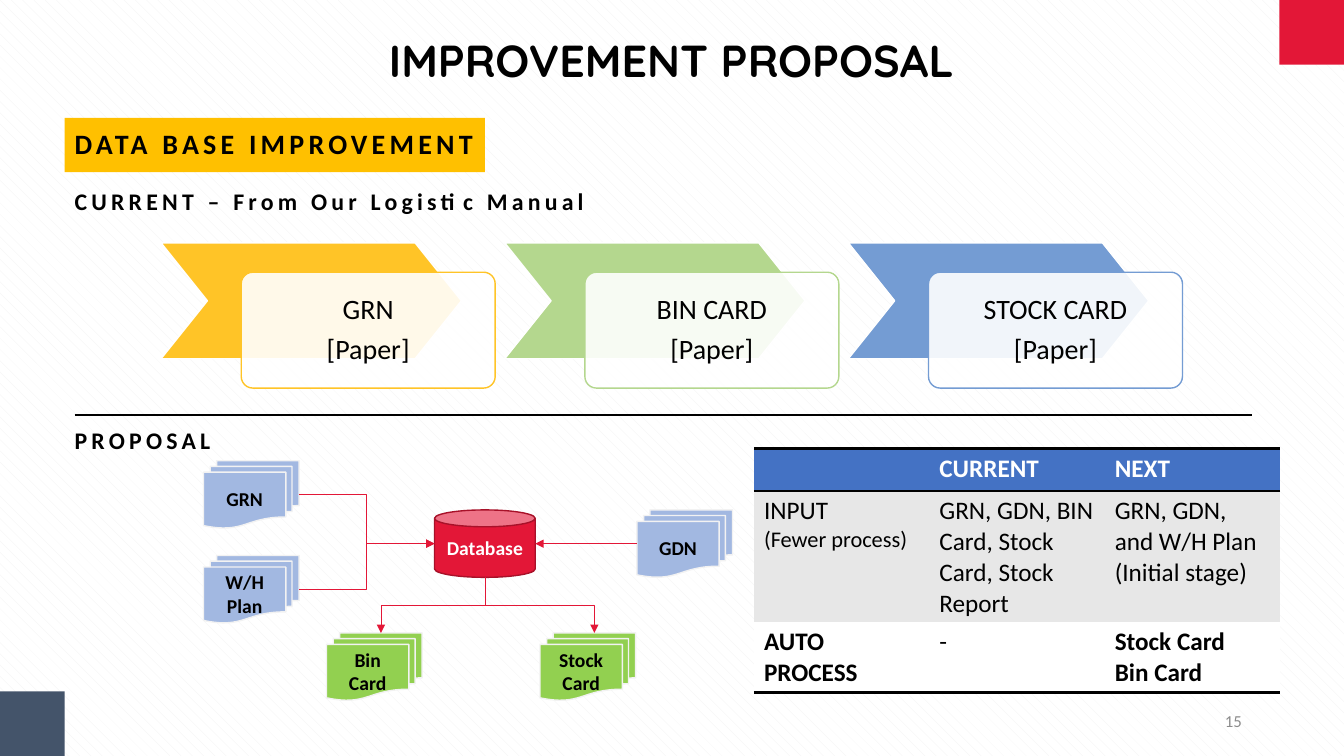
from lxml.etree import SubElement
from pptx import Presentation
from pptx.dml.color import RGBColor
from pptx.enum.dml import MSO_PATTERN
from pptx.enum.shapes import MSO_CONNECTOR, MSO_SHAPE
from pptx.enum.text import MSO_ANCHOR, PP_ALIGN
from pptx.oxml.ns import qn
from pptx.util import Cm, Pt

BLACK, WHITE, RED = "000000", "FFFFFF", "E31737"
BLUE_DOC, GREEN_DOC = "A2B8E1", "92D050"
DOC_WIDTH, DOC_HEIGHT, DOC_TOP_JOINT = 2.41, 1.7, 1.37
PLAIN_TABLE_STYLE = "{2D5ABB26-0587-4C30-8999-92F81FD0307C}"


def color(hex_code):
    """Turn a hex string into a colour."""
    return RGBColor.from_string(hex_code)


def write(frame, *lines, size=18, last_size=None, ink=BLACK, bold=False, font="Calibri",
          align=PP_ALIGN.LEFT, anchor=MSO_ANCHOR.MIDDLE, leading=None, after=None,
          spacing=None, inset=None):
    """Fill a text frame with one paragraph per line."""
    frame.word_wrap = True
    frame.vertical_anchor = anchor
    if inset is not None:
        frame.margin_left = frame.margin_right = Cm(inset)
        frame.margin_top = frame.margin_bottom = Cm(inset)
    for index, line in enumerate(lines):
        paragraph = frame.add_paragraph() if index else frame.paragraphs[0]
        paragraph.alignment = align
        if leading:
            paragraph.line_spacing = leading
        if after:
            paragraph.space_after = Pt(after)
        run = paragraph.add_run()
        run.text = line
        is_last = index == len(lines) - 1
        run.font.size = Pt(last_size if last_size and is_last else size)
        run.font.name = font
        run.font.bold = bold
        run.font.color.rgb = color(ink)
        if spacing:
            run.font._element.set("spc", str(spacing * 100))


def add_block(slide, preset, box, fill, outline=None, opacity=None):
    """Add a flat preset shape in a box given in centimetres."""
    block = slide.shapes.add_shape(preset, *map(Cm, box))
    block.shadow.inherit = False
    block.fill.solid()
    block.fill.fore_color.rgb = color(fill)
    if opacity:
        solid = block.fill._xPr.find(qn("a:solidFill"))
        SubElement(solid[0], qn("a:alpha"), val=str(opacity * 1000))
    if outline:
        block.line.color.rgb = color(outline)
        block.line.width = Pt(1)
    else:
        block.line.fill.background()
    return block


def add_label(slide, box, label, **style):
    """Add a text box."""
    frame = slide.shapes.add_textbox(*map(Cm, box)).text_frame
    write(frame, label, **style)


def add_line(slide, kind, start, end, ink, width, arrow=False):
    """Add a connector between two points in centimetres."""
    line = slide.shapes.add_connector(kind, *map(Cm, (*start, *end)))
    line.line.color.rgb = color(ink)
    line.line.width = Pt(width)
    if arrow:
        SubElement(line.line._get_or_add_ln(), qn("a:tailEnd"), type="triangle")
    SubElement(line._element.spPr, qn("a:effectLst"))
    return line


def add_drop(slide, start, end):
    """Add an elbow arrow that leaves downwards, turns and ends downwards."""
    middle_x, middle_y = (start[0] + end[0]) / 2, (start[1] + end[1]) / 2
    half_drop, half_span = (end[1] - start[1]) / 2, abs(end[0] - start[0]) / 2
    goes_right = end[0] > start[0]
    side = -1 if goes_right else 1
    drop = add_line(slide, MSO_CONNECTOR.ELBOW,
                    (middle_x - side * half_drop, middle_y - half_span),
                    (middle_x + side * half_drop, middle_y + half_span), RED, 0.5, True)
    drop._element.spPr.find(qn("a:xfrm")).set("rot", str((270 if goes_right else 90) * 60000))


def add_frame(slide):
    """Set the background, corner blocks, title and page number."""
    backdrop = slide.background.fill
    backdrop.patterned()
    backdrop.pattern = MSO_PATTERN.SHINGLE
    backdrop.fore_color.rgb = color("F2F2F2")
    backdrop.back_color.rgb = color(WHITE)
    add_block(slide, MSO_SHAPE.RECTANGLE, (32.24, 0, 1.63, 1.63), RED)
    add_block(slide, MSO_SHAPE.RECTANGLE, (0, 17.42, 1.63, 1.63), "44546A")
    title = slide.shapes.title
    title.left, title.top, title.width, title.height = map(Cm, (4.06, 0.81, 25.73, 1.37))
    write(title.text_frame, "IMPROVEMENT PROPOSAL", size=32, bold=True, font="Quicksand",
          align=PP_ALIGN.CENTER, inset=0)
    add_label(slide, (23.93, 17.65, 7.62, 1.02), "15", size=12, ink="8C8C8C",
              align=PP_ALIGN.RIGHT)


def add_headings(slide, left, top):
    """Add the section banner, the two part headings and the divider."""
    heading = {"bold": True, "spacing": 3, "leading": 0.9}
    banner = add_block(slide, MSO_SHAPE.RECTANGLE, (left, top, 10.59, 1.37), "FFC000")
    write(banner.text_frame, "DATA BASE IMPROVEMENT", size=20, **heading)
    parts = ((1.45, "CURRENT – From Our Logistic Manual"), (7.49, "PROPOSAL"))
    for offset, label in parts:
        add_label(slide, (left, top + offset, 13.67, 1.37), label, size=17, **heading)
    add_line(slide, MSO_CONNECTOR.STRAIGHT, (left + 0.25, top + 7.49),
             (left + 29.92, top + 7.49), BLACK, 1.5)


def add_paper_steps(slide, left, top):
    """Add the row of chevrons with their cards."""
    steps = (("GRN", "FFC427"), ("BIN CARD", "B4D78E"), ("STOCK CARD", "749CD3"))
    for index, (step, tint) in enumerate(steps):
        step_left = left + 8.66 * index
        chevron = add_block(slide, MSO_SHAPE.CHEVRON, (step_left, top, 7.57, 2.92), tint, WHITE)
        chevron.adjustments[0] = 0.4
        card = add_block(slide, MSO_SHAPE.ROUNDED_RECTANGLE,
                         (step_left + 2.02, top + 0.74, 6.4, 2.92), WHITE, tint, 90)
        card.adjustments[0] = 0.1
        write(card.text_frame, step, "[Paper]", size=20, align=PP_ALIGN.CENTER,
              leading=0.9, after=7, inset=0.4)


def add_document(slide, left, top, label, fill):
    """Add one stack of documents."""
    document = add_block(slide, MSO_SHAPE.FLOWCHART_MULTIDOCUMENT,
                         (left, top, DOC_WIDTH, DOC_HEIGHT), fill, "F2F2F2")
    write(document.text_frame, label, size=14, bold=True, align=PP_ALIGN.CENTER)
    return document


def add_database_flow(slide, left, top):
    """Add the database with its input and output documents."""
    can_left, can_top, can_width = left + 5.82, top + 1.24, 2.54
    can_middle = can_top + DOC_HEIGHT / 2
    database = add_block(slide, MSO_SHAPE.CAN, (can_left, can_top, can_width, DOC_HEIGHT),
                         RED, "A81129")
    write(database.text_frame, "Database", size=14, ink=WHITE, bold=True,
          align=PP_ALIGN.CENTER, inset=0.1)
    for offset, label in ((0, "GRN"), (2.39, "W/H Plan")):
        add_document(slide, left, top + offset, label, BLUE_DOC)
        add_line(slide, MSO_CONNECTOR.ELBOW,
                 (left + DOC_WIDTH, top + offset + DOC_HEIGHT / 2),
                 (can_left, can_middle), RED, 0.5, True)
    gdn = add_document(slide, left + 10.92, can_top, "GDN", BLUE_DOC)
    supply = add_line(slide, MSO_CONNECTOR.STRAIGHT, (left + 10.92, can_middle),
                      (can_left + can_width, can_middle), RED, 0.5, True)
    supply.begin_connect(gdn, 1)
    for offset, label in ((3.1, "Bin Card"), (8.48, "Stock Card")):
        add_document(slide, left + offset, top + 4.34, label, GREEN_DOC)
        add_drop(slide, (can_left + can_width / 2, can_top + DOC_HEIGHT),
                 (left + offset + DOC_TOP_JOINT, top + 4.34))


def add_border(cell, side):
    """Draw a black border on one side of a cell."""
    properties = cell._tc.get_or_add_tcPr()
    border = SubElement(properties, qn(f"a:{side}"), w=str(Pt(2)))
    fill = SubElement(border, qn("a:solidFill"))
    SubElement(fill, qn("a:srgbClr"), val=BLACK)


def add_comparison(slide, left, top, width):
    """Add the table that compares the current and next processes."""
    rows = (
        (0.42 * 2.54, "4472C4", WHITE, ((), ("CURRENT",), ("NEXT",)), (0, 1, 2), ("lnT", "lnB")),
        (3.3, "E7E7E7", BLACK,
         (("INPUT", "(Fewer process)"), ("GRN, GDN, BIN Card, Stock Card, Stock Report",),
          ("GRN, GDN, and W/H Plan (Initial stage)",)), (), ()),
        (1.78, WHITE, BLACK, (("AUTO PROCESS",), ("-",), ("Stock Card", "Bin Card")),
         (0, 2), ("lnB",)),
    )
    height = sum(row[0] for row in rows)
    graphic = slide.shapes.add_table(3, 3, *map(Cm, (left, top, width, height)))
    comparison = graphic.table
    comparison._tbl.tblPr.find(qn("a:tableStyleId")).text = PLAIN_TABLE_STYLE
    for column in comparison.columns:
        column.width = Cm(width / 3)
    for row_index, (row_height, fill, ink, entries, bold_columns, sides) in enumerate(rows):
        comparison.rows[row_index].height = Cm(row_height)
        for column_index, lines in enumerate(entries):
            cell = comparison.cell(row_index, column_index)
            for side in sides:
                add_border(cell, side)
            cell.fill.solid()
            cell.fill.fore_color.rgb = color(fill)
            write(cell.text_frame, *lines, ink=ink, bold=column_index in bold_columns,
                  last_size=16 if "INPUT" in lines else None, anchor=MSO_ANCHOR.TOP)


def main():
    """Build the slide and save it."""
    deck = Presentation()
    deck.slide_width, deck.slide_height = Cm(33.87), Cm(19.05)
    slide = deck.slides.add_slide(deck.slide_layouts[5])
    add_frame(slide)
    add_paper_steps(slide, 4.06, 6.12)
    add_headings(slide, 1.63, 2.97)
    add_database_flow(slide, 5.13, 11.61)
    add_comparison(slide, 19, 11.3, 13.26)
    deck.save("out.pptx")


if __name__ == "__main__":
    main()
